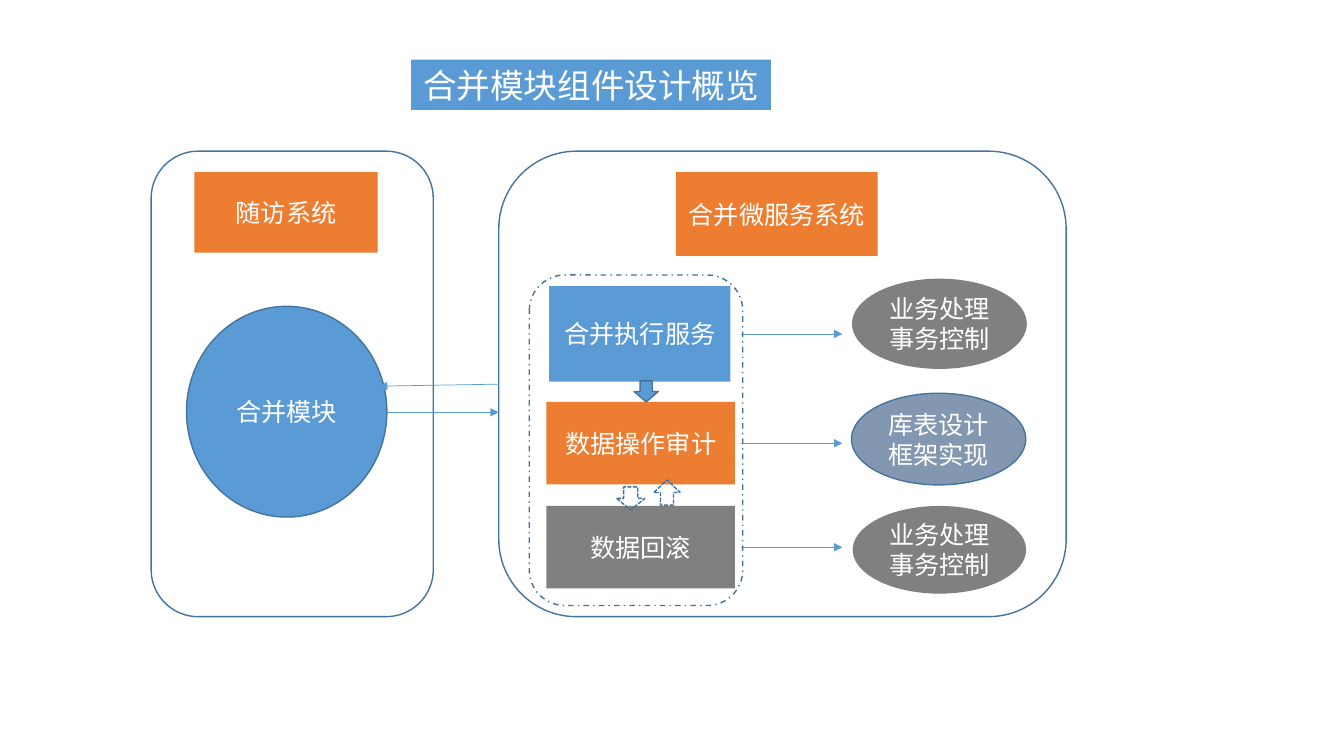
import dataclasses
import lxml.etree
import pptx
import pptx.dml.color
import pptx.enum.dml
import pptx.enum.shapes
import pptx.enum.text
import pptx.oxml.ns
import pptx.util

Cm = pptx.util.Cm
Pt = pptx.util.Pt
Kind = pptx.enum.shapes.MSO_SHAPE
Dash = pptx.enum.dml.MSO_LINE
Color = pptx.dml.color.RGBColor
qn = pptx.oxml.ns.qn

BLUE = Color(0x5B, 0x9B, 0xD5)
NAVY = Color(0x43, 0x73, 0x9E)
ORANGE = Color(0xED, 0x7D, 0x31)
GRAY = Color(0x80, 0x80, 0x80)
SLATE = Color(0x84, 0x97, 0xB0)
WHITE = Color(0xFF, 0xFF, 0xFF)


def apply(item, values):
    for name, value in values.items():
        setattr(item, name, value)


@dataclasses.dataclass
class Deck:
    slide: object
    face: str = "Noto Sans CJK SC"
    size: int = 18

    def place(self, shape, spot):
        apply(shape, dict(zip(("left", "top", "width", "height"), map(Cm, spot))))

    def paint(self, shape, fill, edge=None, dash=None):
        if fill is None:
            shape.fill.background()
        else:
            shape.fill.solid()
            shape.fill.fore_color.rgb = fill
        if edge is None:
            shape.line.fill.background()
        else:
            shape.line.color.rgb = edge
            apply(shape.line, {"width": Pt(1), "dash_style": dash})

    def label(self, shape, text, size):
        frame = shape.text_frame
        frame.text = text
        apply(frame, {
            "word_wrap": False,
            "auto_size": pptx.enum.text.MSO_AUTO_SIZE.NONE,
            "vertical_anchor": pptx.enum.text.MSO_ANCHOR.MIDDLE,
        })
        for para in frame.paragraphs:
            para.alignment = pptx.enum.text.PP_ALIGN.CENTER
            for run in para.runs:
                apply(run.font, {"name": self.face, "size": Pt(size), "bold": False})
                run.font.color.rgb = WHITE
        for props in shape.element.iter(qn("a:rPr")):
            lxml.etree.SubElement(props, qn("a:ea"), typeface=self.face)

    def title(self, text, spot, fill, size):
        shape = self.slide.shapes.title
        self.place(shape, spot)
        self.paint(shape, fill)
        self.label(shape, text, size)

    def block(self, kind, spot, fill=None, edge=None, text="", dash=None):
        shape = self.slide.shapes.add_shape(kind, *map(Cm, spot))
        shape.shadow.inherit = False
        self.paint(shape, fill, edge, dash)
        if text:
            self.label(shape, text, self.size)

    def arrow(self, *ends):
        link = self.slide.shapes.add_connector(
            pptx.enum.shapes.MSO_CONNECTOR.STRAIGHT, *map(Cm, ends))
        link.line.color.rgb = BLUE
        link.line.width = Pt(0.5)
        props = link.element.spPr
        lxml.etree.SubElement(props.find(qn("a:ln")), qn("a:tailEnd"), type="triangle")
        lxml.etree.SubElement(props, qn("a:effectLst"))


show = pptx.Presentation()
apply(show, {"slide_width": Cm(33.87), "slide_height": Cm(19.05)})
deck = Deck(show.slides.add_slide(show.slide_layouts[5]))

deck.title("合并模块组件设计概览", (10.36, 1.5, 9.07, 1.27), BLUE, 24)

for left, width in ((3.81, 7.11), (12.57, 14.3)):
    deck.block(Kind.ROUNDED_RECTANGLE, (left, 3.81, width, 11.73), edge=NAVY)

deck.block(Kind.RECTANGLE, (4.9, 4.34, 4.62, 2.03), ORANGE, text="随访系统")
deck.block(Kind.RECTANGLE, (17.04, 4.34, 5.08, 2.11), ORANGE, text="合并微服务系统")
deck.block(Kind.OVAL, (4.7, 7.72, 5.05, 5.31), BLUE, NAVY, "合并模块")

steps = (
    ("合并执行服务", BLUE, (13.84, 7.21, 4.57, 2.41)),
    ("数据操作审计", ORANGE, (13.77, 10.13, 4.75, 2.08)),
    ("数据回滚", GRAY, (13.77, 12.75, 4.75, 2.08)),
)
for text, fill, spot in steps:
    deck.block(Kind.RECTANGLE, spot, fill, text=text)
    mid = spot[1] + spot[3] / 2
    deck.arrow(18.67, mid, 21.23, mid)

tasks = (
    ("业务处理\n事务控制", GRAY, GRAY, (21.49, 7.04, 4.37, 2.24)),
    ("库表设计\n框架实现", SLATE, NAVY, (21.46, 9.91, 4.39, 2.31)),
    ("业务处理\n事务控制", GRAY, None, (21.49, 12.75, 4.37, 2.21)),
)
for text, fill, edge, spot in tasks:
    deck.block(Kind.OVAL, spot, fill, edge, text)

deck.block(Kind.DOWN_ARROW, (15.98, 9.6, 0.61, 0.53), BLUE, NAVY)
deck.block(Kind.DOWN_ARROW, (15.54, 12.27, 0.71, 0.58), edge=NAVY, dash=Dash.SQUARE_DOT)
deck.block(Kind.UP_ARROW, (16.48, 12.09, 0.66, 0.64), edge=NAVY, dash=Dash.SQUARE_DOT)

deck.arrow(9.75, 10.39, 12.57, 10.39)
deck.arrow(12.57, 9.68, 9.55, 9.73)
deck.block(Kind.ROUNDED_RECTANGLE, (13.34, 6.93, 5.38, 8.33), edge=NAVY, dash=Dash.DASH_DOT)

show.save("out.pptx")
